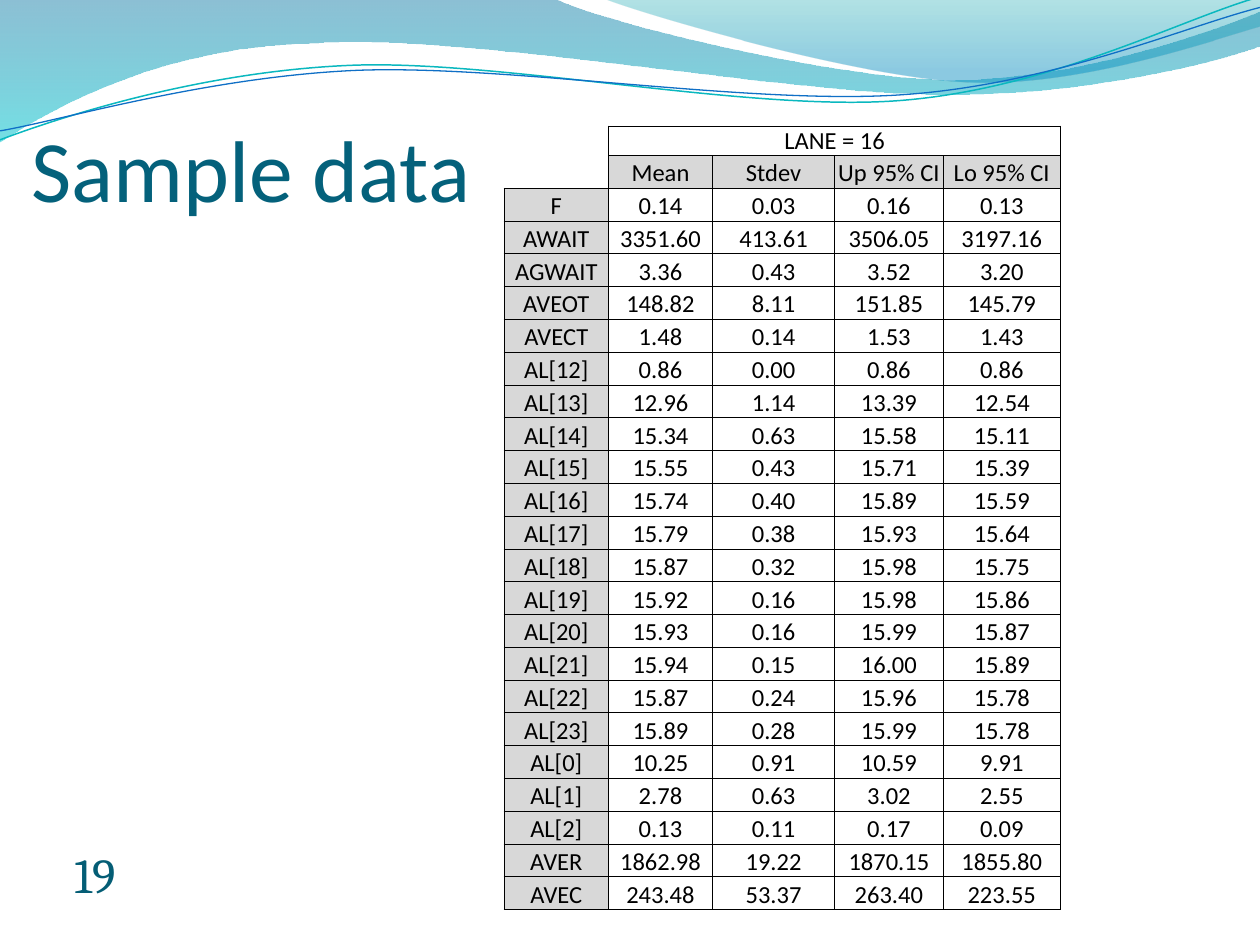
from math import cos, radians, sin

from lxml.etree import SubElement
from pptx import Presentation
from pptx.dml.color import RGBColor
from pptx.enum.text import MSO_ANCHOR, PP_ALIGN
from pptx.oxml import parse_xml
from pptx.oxml.ns import nsdecls, qn
from pptx.util import Cm, Pt

BANDS = [
    ((-0.03, -0.03, 25.46, 2.9),
     [(0, 0), (11.18, -0.03),
      (12.09, 0.43, 16.87, 1.6, 19.25, 1.6),
      (21.67, 1.6, 24.33, 0.66, 25.4, 0.23),
      (25.43, 0.91),
      (24.97, 1.12, 22.1, 1.93, 18.95, 1.9),
      (15.8, 1.9, 9.7, 0.71, 6.53, 0.86),
      (3.28, 0.91, 1.17, 2.11, -0.03, 2.87),
      (0, 0)],
     [(0, "0074A1", 45), (100, "00C6CF", 55)]),
    ((12.17, -0.03, 13.23, 1.78),
     [(12.17, -0.03),
      (12.93, 0.28, 17.32, 1.57, 19.53, 1.65),
      (21.74, 1.75, 24.41, 0.81, 25.4, 0.53),
      (25.4, 0), (12.17, -0.03)],
     [(0, "00A1A9", 30), (80, "008BBF", 45)]),
]
WAVES = [
    ((-0.05, 0.56, 25.45, 1.8),
     [(0, 2.82),
      (1.22, 2.36, 4.01, 1.45, 7.04, 1.32),
      (10.03, 1.19, 15.06, 2.26, 18.11, 2.03),
      (21.16, 1.8, 23.83, 0.38, 25.35, -0.05)], "0AB8BF", 0.85),
    ((-0.05, 0.76, 25.48, 1.47),
     [(0, 2.64),
      (1.19, 2.44, 4.17, 1.55, 7.19, 1.42),
      (10.24, 1.3, 15.16, 2.13, 18.21, 1.91),
      (21.23, 1.7, 23.9, 0.53, 25.4, 0.15)], "0F6FC6", 0.75),
]
WAVE_ROTATION = 357.3
LABELS = [
    ("Sample data", (0.64, -1.72, 9.73, 6.15), 50, "Calibri", "04617B", PP_ALIGN.LEFT),
    ("19", (0.86, 17.15, 1.47, 1.07), 28, "Cambria", "045D75", PP_ALIGN.RIGHT),
]
GROUP = "LANE = 16"
HEADINGS = ("", "Mean", "Stdev", "Up 95% CI", "Lo 95% CI")
RECORDS = [
    ("F", "0.14", "0.03", "0.16", "0.13"),
    ("AWAIT", "3351.60", "413.61", "3506.05", "3197.16"),
    ("AGWAIT", "3.36", "0.43", "3.52", "3.20"),
    ("AVEOT", "148.82", "8.11", "151.85", "145.79"),
    ("AVECT", "1.48", "0.14", "1.53", "1.43"),
    ("AL[12]", "0.86", "0.00", "0.86", "0.86"),
    ("AL[13]", "12.96", "1.14", "13.39", "12.54"),
    ("AL[14]", "15.34", "0.63", "15.58", "15.11"),
    ("AL[15]", "15.55", "0.43", "15.71", "15.39"),
    ("AL[16]", "15.74", "0.40", "15.89", "15.59"),
    ("AL[17]", "15.79", "0.38", "15.93", "15.64"),
    ("AL[18]", "15.87", "0.32", "15.98", "15.75"),
    ("AL[19]", "15.92", "0.16", "15.98", "15.86"),
    ("AL[20]", "15.93", "0.16", "15.99", "15.87"),
    ("AL[21]", "15.94", "0.15", "16.00", "15.89"),
    ("AL[22]", "15.87", "0.24", "15.96", "15.78"),
    ("AL[23]", "15.89", "0.28", "15.99", "15.78"),
    ("AL[0]", "10.25", "0.91", "10.59", "9.91"),
    ("AL[1]", "2.78", "0.63", "3.02", "2.55"),
    ("AL[2]", "0.13", "0.11", "0.17", "0.09"),
    ("AVER", "1862.98", "19.22", "1870.15", "1855.80"),
    ("AVEC", "243.48", "53.37", "263.40", "223.55"),
]
COLUMN_WIDTHS = (2.11, 2.09, 2.47, 2.18, 2.37)
TABLE_LEFT, TABLE_TOP, TABLE_HEIGHT = 10.16, 2.54, 15.8
GROUP_HEIGHT, BODY_HEIGHT = 0.46, 15.22


def color(value):
    return RGBColor.from_string(value)


def add_outline(page, place, segments, rotation=0):
    left, top, width, height = place
    middle_x, middle_y = left + width / 2, top + height / 2
    cosine, sine = cos(radians(rotation)), sin(radians(rotation))

    def local(x, y):
        across, down = x - middle_x, y - middle_y
        return (Cm(across * cosine + down * sine + width / 2),
                Cm(down * cosine - across * sine + height / 2))

    builder = page.shapes.build_freeform(*local(*segments[0]))
    builder.add_line_segments([local(*segment[-2:]) for segment in segments[1:]],
                              close=segments[0] == segments[-1])
    shape = builder.convert_to_shape()
    shape.left, shape.top, shape.width, shape.height = map(Cm, place)
    shape.rotation = rotation
    shape.shadow.inherit = False
    shape.fill.background()

    outline = shape.element.spPr.find(".//" + qn("a:path"))
    outline.set("w", str(Cm(width)))
    outline.set("h", str(Cm(height)))
    steps = [step for step in outline if step.tag != qn("a:close")]
    for step, segment in zip(steps, segments):
        step.clear()
        if len(segment) == 6:
            step.tag = qn("a:cubicBezTo")
        for index in range(0, len(segment), 2):
            x, y = local(*segment[index:index + 2])
            SubElement(step, qn("a:pt"), x=str(x), y=str(y))
    return shape


def add_band(page, place, segments, stops):
    shape = add_outline(page, place, segments)
    shape.line.fill.background()
    stop_xml = "".join(
        f'<a:gs pos="{position * 1000}"><a:srgbClr val="{value}">'
        f'<a:alpha val="{opacity * 1000}"/></a:srgbClr></a:gs>'
        for position, value, opacity in stops)
    gradient = parse_xml(f'<a:gradFill {nsdecls("a")} rotWithShape="1"><a:gsLst>{stop_xml}'
                         '</a:gsLst><a:lin ang="5400000" scaled="0"/></a:gradFill>')
    properties = shape.element.spPr
    properties.replace(properties.find(qn("a:noFill")), gradient)


def add_wave(page, place, segments, value, width):
    shape = add_outline(page, place, segments, WAVE_ROTATION)
    shape.line.color.rgb = color(value)
    shape.line.width = Pt(width)


def style_text(paragraph, size, font, value, alignment):
    paragraph.alignment = alignment
    for span in paragraph.runs:
        span.font.size = Pt(size)
        span.font.name = font
        span.font.color.rgb = color(value)


def add_label(page, text, place, size, font, value, alignment):
    box = page.shapes.add_textbox(*map(Cm, place))
    frame = box.text_frame
    frame.word_wrap = True
    frame.vertical_anchor = MSO_ANCHOR.BOTTOM
    frame.margin_left = frame.margin_right = frame.margin_top = frame.margin_bottom = 0
    frame.text = text
    style_text(frame.paragraphs[0], size, font, value, alignment)


def add_borders(cell, sides):
    properties = cell._tc.get_or_add_tcPr()
    for index, side in enumerate(sides):
        properties.insert(index, parse_xml(
            f'<a:ln{side} {nsdecls("a")} w="{Pt(0.5)}"><a:solidFill>'
            f'<a:srgbClr val="000000"/></a:solidFill></a:ln{side}>'))


def fill_cell(cell, text, shaded, sides):
    cell.margin_left = cell.margin_right = cell.margin_top = cell.margin_bottom = 0
    cell.vertical_anchor = MSO_ANCHOR.BOTTOM
    cell.text = text
    paragraph = cell.text_frame.paragraphs[0]
    style_text(paragraph, 14, "Calibri", "000000", PP_ALIGN.CENTER)
    if not text:
        SubElement(paragraph._p, qn("a:endParaRPr"), sz="1400")
    if shaded:
        cell.fill.solid()
        cell.fill.fore_color.rgb = color("D8D8D8")
    else:
        cell.fill.background()
    add_borders(cell, sides)


def add_statistics(page):
    rows = [("", GROUP, "", "", ""), HEADINGS, *RECORDS]
    frame = page.shapes.add_table(
        len(rows), len(HEADINGS), Cm(TABLE_LEFT), Cm(TABLE_TOP),
        Cm(sum(COLUMN_WIDTHS)), Cm(TABLE_HEIGHT))
    table = frame.table
    table.first_row = table.horz_banding = False
    table._tbl.tblPr.find(qn("a:tableStyleId")).text = "{2D5ABB26-0587-4C30-8999-92F81FD0307C}"
    for column, width in zip(table.columns, COLUMN_WIDTHS):
        column.width = Cm(width)
    for r, values in enumerate(rows):
        table.rows[r].height = Cm(BODY_HEIGHT / (len(rows) - 1) if r else GROUP_HEIGHT)
        for c, text in enumerate(values):
            corner = c == 0 and r < 2
            shaded = not corner and (r == 1 or c == 0)
            sides = ("R", "RB")[r] if corner else "LRTB"
            fill_cell(table.cell(r, c), text, shaded, sides)
    table.cell(0, 1).merge(table.cell(0, len(HEADINGS) - 1))
    frame.height = Cm(TABLE_HEIGHT)


def main():
    deck = Presentation()
    deck.slide_width, deck.slide_height = Cm(25.4), Cm(19.05)
    page = deck.slides.add_slide(deck.slide_layouts[6])
    for band in BANDS:
        add_band(page, *band)
    for wave in WAVES:
        add_wave(page, *wave)
    for label in LABELS:
        add_label(page, *label)
    add_statistics(page)
    deck.save("out.pptx")


if __name__ == "__main__":
    main()
